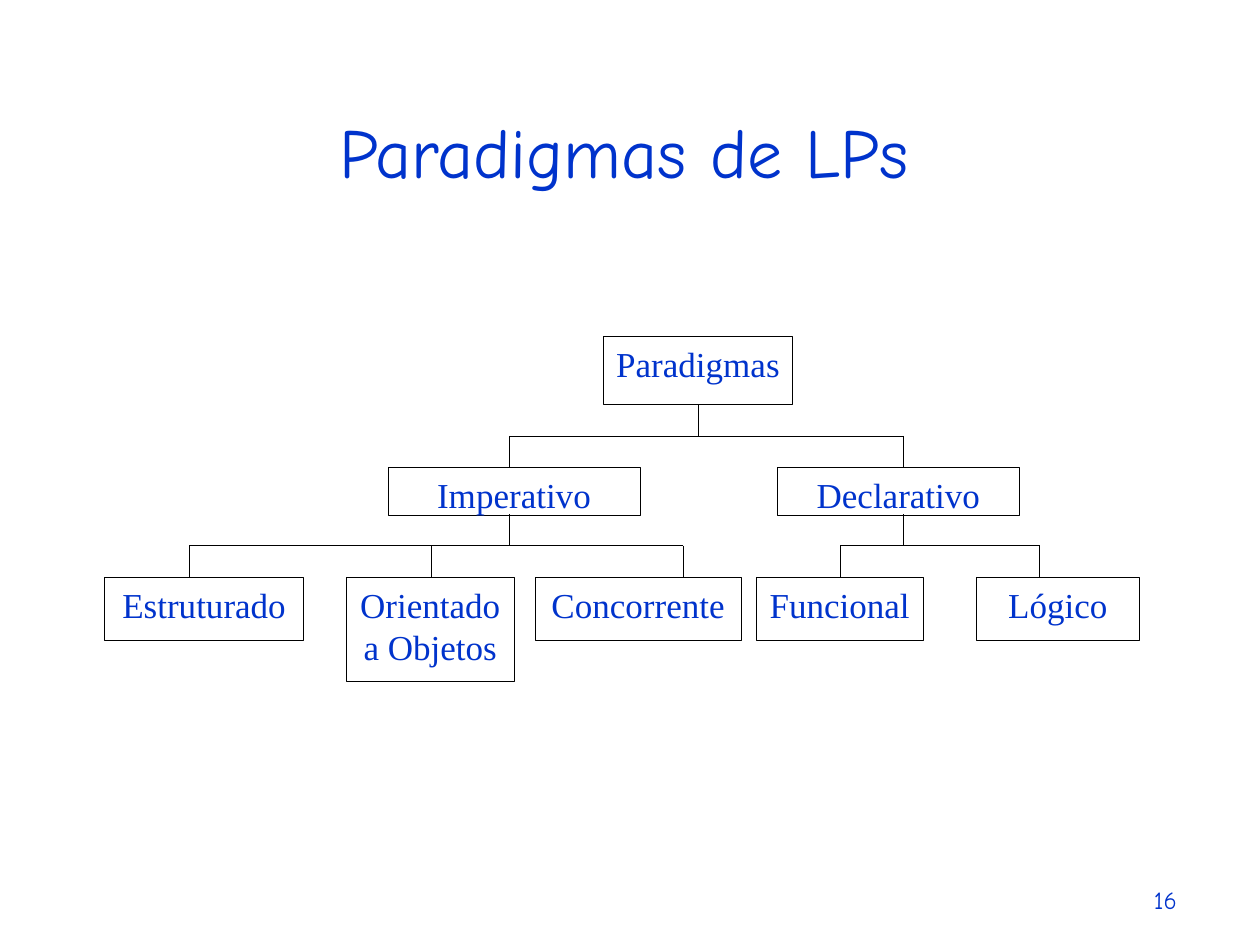
from lxml.etree import SubElement
from pptx import Presentation
from pptx.dml.color import RGBColor
from pptx.enum.shapes import MSO_CONNECTOR, MSO_SHAPE
from pptx.enum.text import MSO_ANCHOR, PP_ALIGN
from pptx.oxml.ns import qn
from pptx.util import Inches, Pt

BLUE = RGBColor(0x00, 0x33, 0xCC)
BLACK = RGBColor(0x00, 0x00, 0x00)
WHITE = RGBColor(0xFF, 0xFF, 0xFF)

HEAD = {"name": "Comic Neue", "size": Pt(40)}
NODE = {"name": "Times New Roman", "size": Pt(20)}
PAGE = {"name": "Comic Neue", "size": Pt(14)}

DROP = 0.25  # height of each line above or below a crossbar

# Places are relative to the top left of the tree.
# Node: text, left, top, width, height, x of its lines
ROOT = ("Paradigmas", 3.96, 0, 1.5, 0.54, 4.71)
BRANCHES = [
    (("Imperativo", 2.25, 1.04, 2, 0.38, 3.21), [
        ("Estruturado", 0, 1.91, 1.58, 0.5, 0.67),
        ("Orientado a Objetos", 1.92, 1.91, 1.33, 0.83, 2.59),
        ("Concorrente", 3.42, 1.91, 1.63, 0.5, 4.59),
    ]),
    (("Declarativo", 5.34, 1.04, 1.92, 0.38, 6.34), [
        ("Funcional", 5.17, 1.91, 1.33, 0.5, 5.84),
        ("Lógico", 6.92, 1.91, 1.29, 0.5, 7.42),
    ]),
]


def put_text(shape, text, font, align, anchor):
    frame = shape.text_frame
    frame.word_wrap = True
    frame.vertical_anchor = anchor
    para = frame.paragraphs[0]
    para.alignment = align
    run = para.add_run()
    run.text = text
    for key, value in font.items():
        setattr(run.font, key, value)
    run.font.color.rgb = BLUE
    return para


def add_label(slide, box, text, font, align):
    label = slide.shapes.add_textbox(*map(Inches, box))
    return put_text(label, text, font, align, MSO_ANCHOR.BOTTOM)


def ink(line):
    line.color.rgb = BLACK
    line.width = Pt(0.25)


def add_node(shapes, left, top, node):
    text, x, y, width, height, _ = node
    rect = shapes.add_shape(MSO_SHAPE.RECTANGLE, Inches(left + x), Inches(top + y),
                            Inches(width), Inches(height))
    rect.shadow.inherit = False
    rect.fill.solid()
    rect.fill.fore_color.rgb = WHITE
    ink(rect.line)
    put_text(rect, text, NODE, PP_ALIGN.CENTER, MSO_ANCHOR.TOP)


def add_line(shapes, *ends):
    line = shapes.add_connector(MSO_CONNECTOR.STRAIGHT, *map(Inches, ends))
    ink(line.line)
    SubElement(line._element.spPr, qn("a:effectLst"))


def add_links(shapes, left, top, parent, kids):
    """Join a parent to its kids with a stem, a crossbar and one drop each."""
    bar = top + kids[0][2] - DROP
    stem = left + parent[5]
    drops = [left + kid[5] for kid in kids]
    add_line(shapes, drops[0], bar, drops[-1], bar)
    add_line(shapes, stem, bar - DROP, stem, bar)
    for x in drops:
        add_line(shapes, x, bar, x, bar + DROP)


def add_tree(slide, left, top):
    shapes = slide.shapes.add_group_shape().shapes
    links = [(ROOT, [parent for parent, _ in BRANCHES]), *BRANCHES]
    add_node(shapes, left, top, ROOT)
    for _, kids in links:
        for kid in kids:
            add_node(shapes, left, top, kid)
    for parent, kids in links:
        add_links(shapes, left, top, parent, kids)


def main():
    deck = Presentation()
    deck.slide_width, deck.slide_height = Inches(10), Inches(7.5)
    slide = deck.slides.add_slide(deck.slide_layouts[6])
    add_label(slide, (0.17, 0.5, 9.75, 1.08), "Paradigmas de LPs ", HEAD, PP_ALIGN.CENTER)
    add_tree(slide, 0.83, 2.67)
    page = add_label(slide, (7.36, 6.81, 2.08, 0.5), "16", PAGE, PP_ALIGN.RIGHT)
    page.space_before = Pt(8.8)
    deck.save("out.pptx")


if __name__ == "__main__":
    main()
